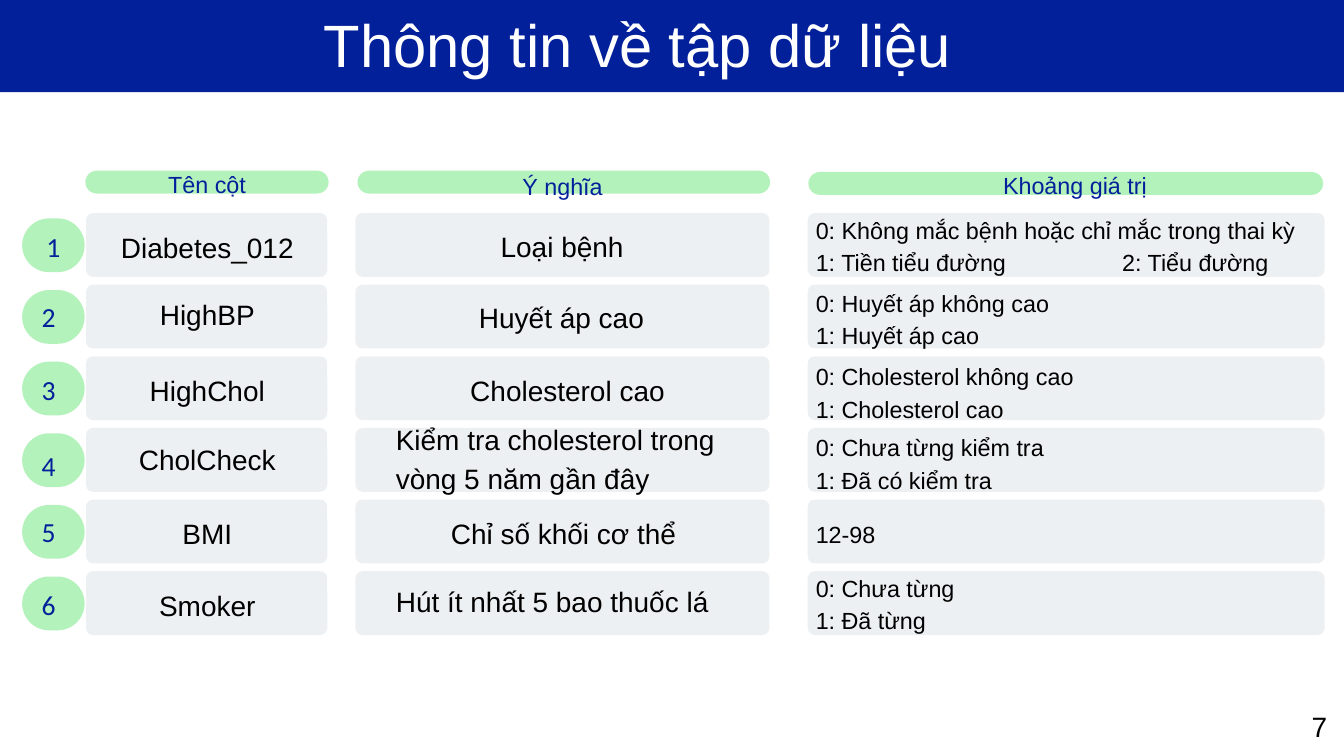
from dataclasses import dataclass

import pptx
import pptx.dml.color
import pptx.enum.shapes
import pptx.enum.text
import pptx.oxml
import pptx.oxml.ns
import pptx.util
from pptx.util import Inches

NAVY = "03209B"
GREEN = "B4F2BC"
GREY = "EDF0F2"
BLACK = "000000"
WHITE = "FFFFFF"

LEFT = pptx.enum.text.PP_ALIGN.LEFT
CENTER = pptx.enum.text.PP_ALIGN.CENTER
RECTANGLE = pptx.enum.shapes.MSO_SHAPE.RECTANGLE
ROUNDED = pptx.enum.shapes.MSO_SHAPE.ROUNDED_RECTANGLE

FIRST_ROW, LAST_ROW = 3.17, 8.5
CELL_HEIGHT = 0.95
CELL_CORNER = 0.11
LABEL_HEIGHT = 0.56
RANGE_LEFT = 12.14
RANGE_TAB = 4.56


@dataclass
class TextStyle:
    size: float
    line_spacing: float
    color: str = BLACK
    font: str = "Arial"


TITLE = TextStyle(64, 76.8, WHITE)
HEADING = TextStyle(25, 35, NAVY)
NUMBER = TextStyle(29.6, 41.5, NAVY, "Calibri")
LABEL = TextStyle(30, 42)
RANGE = TextStyle(25, 35)


@dataclass
class Box:
    left: float
    top: float
    width: float
    height: float


@dataclass
class Column:
    heading: str
    heading_box: Box
    pill: Box
    cell_left: float
    cell_width: float


@dataclass
class Row:
    name: str
    name_top: float
    number_left: float
    number_top: float
    meaning: str
    meaning_box: Box
    meaning_align: int
    values: list[str]
    values_top: float
    values_width: float = 6


COLUMNS = [
    Column("Tên cột", Box(2.22, 2.47, 1.72, 0.47), Box(1.27, 2.54, 3.62, 0.34), 1.28, 3.59),
    Column("Ý nghĩa", Box(7.76, 2.49, 1.22, 0.47), Box(5.32, 2.54, 6.14, 0.34), 5.29, 6.16),
    Column("Khoảng giá trị", Box(12.6, 2.48, 6.79, 0.47), Box(12.03, 2.56, 7.66, 0.34), 12.02, 7.69),
]

ROWS = [
    Row("Diabetes_012", 3.35, 0.69, 3.34,
        "Loại bệnh", Box(7.45, 3.33, 2, LABEL_HEIGHT), LEFT,
        ["0: Không mắc bệnh hoặc chỉ mắc trong thai kỳ",
         "1: Tiền tiểu đường\t2: Tiểu đường"], 3.14, 7.44),
    Row("HighBP", 4.35, 0.62, 4.38,
        "Huyết áp cao", Box(5.95, 4.39, 4.81, LABEL_HEIGHT), CENTER,
        ["0: Huyết áp không cao", "1: Huyết áp cao"], 4.23),
    Row("HighChol", 5.48, 0.62, 5.46,
        "Cholesterol cao", Box(6.04, 5.48, 4.81, LABEL_HEIGHT), CENTER,
        ["0: Cholesterol không cao", "1: Cholesterol cao"], 5.32),
    Row("CholCheck", 6.5, 0.62, 6.6,
        "Kiểm tra cholesterol trong vòng 5 năm gần đây", Box(5.89, 6.2, 4.96, 1.15), LEFT,
        ["0: Chưa từng kiểm tra", "1: Đã có kiểm tra"], 6.38),
    Row("BMI", 7.61, 0.62, 7.58,
        "Chỉ số khối cơ thể", Box(5.98, 7.6, 4.81, LABEL_HEIGHT), CENTER,
        ["12-98"], 7.67),
    Row("Smoker", 8.68, 0.62, 8.66,
        "Hút ít nhất 5 bao thuốc lá", Box(5.89, 8.62, 5.01, LABEL_HEIGHT), LEFT,
        ["0: Chưa từng", "1: Đã từng"], 8.47),
]


def rgb(color: str) -> pptx.dml.color.RGBColor:
    return pptx.dml.color.RGBColor.from_string(color)


def inches(box: Box) -> list[int]:
    return [Inches(length) for length in (box.left, box.top, box.width, box.height)]


def add_panel(slide, box: Box, color: str, corner: float = 0) -> None:
    """Draw a plain filled rectangle; corner is the radius as a share of the short side."""
    shape = slide.shapes.add_shape(ROUNDED if corner else RECTANGLE, *inches(box))
    if corner:
        shape.adjustments[0] = corner
    shape.shadow.inherit = False
    shape.fill.solid()
    shape.fill.fore_color.rgb = rgb(color)
    shape.line.fill.background()


def add_tab_stop(paragraph, position: float) -> None:
    tab_list = pptx.oxml.parse_xml(
        f'<a:tabLst {pptx.oxml.ns.nsdecls("a")}>'
        f'<a:tab pos="{Inches(position)}" algn="l"/></a:tabLst>')
    properties = paragraph._p.get_or_add_pPr()
    properties.insert_element_before(tab_list, "a:defRPr", "a:extLst")


def add_text(slide, box: Box, lines: list[str], style: TextStyle, align: int = LEFT) -> None:
    frame = slide.shapes.add_textbox(*inches(box)).text_frame
    frame.word_wrap = True
    frame.margin_left = frame.margin_right = frame.margin_top = frame.margin_bottom = 0
    frame.text = "\n".join(lines)
    for paragraph in frame.paragraphs:
        paragraph.alignment = align
        paragraph.line_spacing = pptx.util.Pt(style.line_spacing)
        paragraph.font.name = style.font
        paragraph.font.size = pptx.util.Pt(style.size)
        paragraph.font.color.rgb = rgb(style.color)
        if "\t" in paragraph.text:
            add_tab_stop(paragraph, RANGE_TAB)


def add_row(slide, row: Row, top: float) -> None:
    add_panel(slide, Box(0.33, top + 0.08, 0.93, 0.8), GREEN, 0.5)
    for column in COLUMNS:
        cell = Box(column.cell_left, top, column.cell_width, CELL_HEIGHT)
        add_panel(slide, cell, GREY, CELL_CORNER)


def add_row_text(slide, number: int, row: Row) -> None:
    add_text(slide, Box(row.number_left, row.number_top, 0.34, LABEL_HEIGHT), [str(number)], NUMBER)
    add_text(slide, Box(1.47, row.name_top, 3.23, LABEL_HEIGHT), [row.name], LABEL, CENTER)
    add_text(slide, row.meaning_box, [row.meaning], LABEL, row.meaning_align)
    values_box = Box(RANGE_LEFT, row.values_top, row.values_width, 0.47 * len(row.values))
    add_text(slide, values_box, row.values, RANGE)


def main() -> None:
    presentation = pptx.Presentation()
    presentation.slide_width = Inches(20)
    presentation.slide_height = Inches(11.25)
    slide = presentation.slides.add_slide(presentation.slide_layouts[6])

    add_panel(slide, Box(-0.3, -0.32, 20.62, 1.69), NAVY)
    add_text(slide, Box(4.82, 0.11, 10.39, 1.06), ["Thông tin về tập dữ liệu"], TITLE)

    for column in COLUMNS:
        add_panel(slide, column.pill, GREEN, 0.5)
        add_text(slide, column.heading_box, [column.heading], HEADING, CENTER)

    pitch = (LAST_ROW - FIRST_ROW) / (len(ROWS) - 1)
    for index, row in enumerate(ROWS):
        add_row(slide, row, FIRST_ROW + index * pitch)
        add_row_text(slide, index + 1, row)

    add_text(slide, Box(19.51, 10.48, 0.25, LABEL_HEIGHT), ["7"], LABEL, CENTER)
    presentation.save("out.pptx")


if __name__ == "__main__":
    main()
